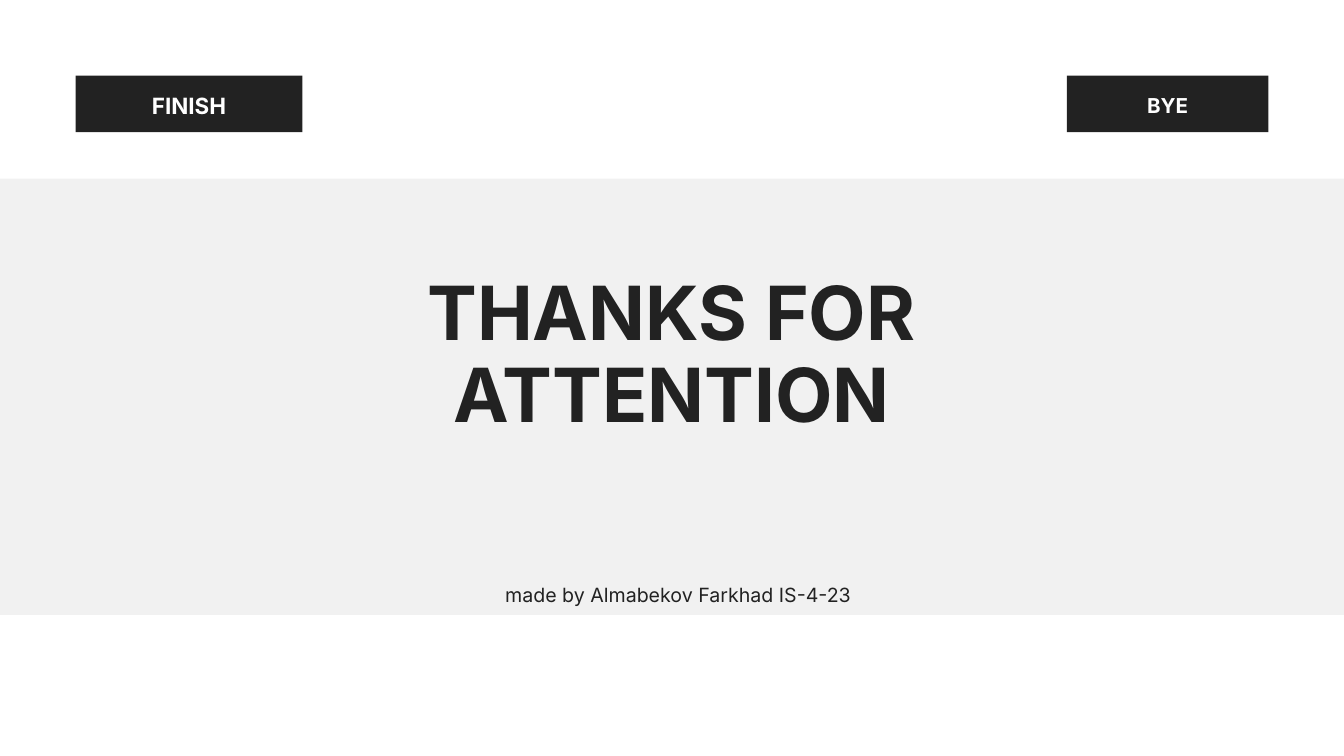
"""Build the closing slide with two labels, a thank-you title and a credit."""
from dataclasses import dataclass

import pptx
import pptx.dml.color
import pptx.enum.shapes
import pptx.enum.text
import pptx.util
from pptx.shapes.autoshape import Shape
from pptx.slide import Slide

INK = "222222"
WHITE = "FFFFFF"
PALE = "F1F1F1"
FONT = "Inter"
SLIDE_WIDTH, SLIDE_HEIGHT = 1440, 810


@dataclass(frozen=True)
class Box:
    """A frame in points."""
    left: float
    top: float
    width: float
    height: float

    def lengths(self) -> list[pptx.util.Pt]:
        """Return the frame as lengths."""
        return [pptx.util.Pt(v) for v in (self.left, self.top, self.width, self.height)]


@dataclass(frozen=True)
class Wording:
    """A centred line of text with its frame and style."""
    text: str
    box: Box
    size: float
    leading: float
    color: str = INK
    bold: bool = True


@dataclass(frozen=True)
class Tag:
    """A dark block with its label."""
    block: Box
    label: Wording


TAGS = (
    Tag(Box(81, 81, 243, 60.5), Wording("FINISH", Box(119, 93.6, 167, 31.7), 24, 33.6, WHITE)),
    Tag(Box(1143, 81, 216, 60.5), Wording("BYE", Box(1179.4, 95, 143.3, 29.5), 22, 30.8, WHITE)),
)
BAND = Box(0, 191.5, SLIDE_WIDTH, 467.3)
THANKS = Wording("THANKS FOR ATTENTION", Box(306.7, 293, 825.8, 176.4), 80, 88)
CREDIT = Wording("made by Almabekov Farkhad IS-4-23", Box(389.5, 620.6, 674, 28), 21, 29.4, bold=False)


def rgb(value: str) -> pptx.dml.color.RGBColor:
    """Turn a hex string into a colour."""
    return pptx.dml.color.RGBColor.from_string(value)


def add_block(slide: Slide, box: Box, color: str) -> Shape:
    """Draw a plain filled rectangle."""
    block = slide.shapes.add_shape(pptx.enum.shapes.MSO_SHAPE.RECTANGLE, *box.lengths())
    block.shadow.inherit = False
    block.fill.solid()
    block.fill.fore_color.rgb = rgb(color)
    block.line.fill.background()
    return block


def write(holder: Shape, wording: Wording) -> None:
    """Place the wording in its holder and format it."""
    holder.left, holder.top, holder.width, holder.height = wording.box.lengths()
    frame = holder.text_frame
    frame.text = wording.text
    frame.word_wrap = True
    frame.auto_size = pptx.enum.text.MSO_AUTO_SIZE.NONE
    frame.vertical_anchor = pptx.enum.text.MSO_ANCHOR.TOP
    frame.margin_left = frame.margin_top = frame.margin_right = frame.margin_bottom = 0
    paragraph = frame.paragraphs[0]
    paragraph.alignment = pptx.enum.text.PP_ALIGN.CENTER
    paragraph.line_spacing = pptx.util.Pt(wording.leading)
    paragraph.space_before = pptx.util.Pt(0)
    font = paragraph.runs[0].font
    font.name = FONT
    font.size = pptx.util.Pt(wording.size)
    font.bold = wording.bold
    font.color.rgb = rgb(wording.color)


def add_text(slide: Slide, wording: Wording) -> None:
    """Add a text box with the wording."""
    write(slide.shapes.add_textbox(*wording.box.lengths()), wording)


def main() -> None:
    """Build and save the slide."""
    deck = pptx.Presentation()
    deck.slide_width = pptx.util.Pt(SLIDE_WIDTH)
    deck.slide_height = pptx.util.Pt(SLIDE_HEIGHT)
    slide = deck.slides.add_slide(deck.slide_layouts.get_by_name("Title Only"))
    slide.background.fill.solid()
    slide.background.fill.fore_color.rgb = rgb(WHITE)

    for tag in TAGS:
        add_block(slide, tag.block, INK)
    band = add_block(slide, BAND, PALE)
    for tag in TAGS:
        add_text(slide, tag.label)

    title = slide.shapes.title
    write(title, THANKS)
    band.element.addnext(title.element)
    add_text(slide, CREDIT)
    deck.save("out.pptx")


if __name__ == "__main__":
    main()
